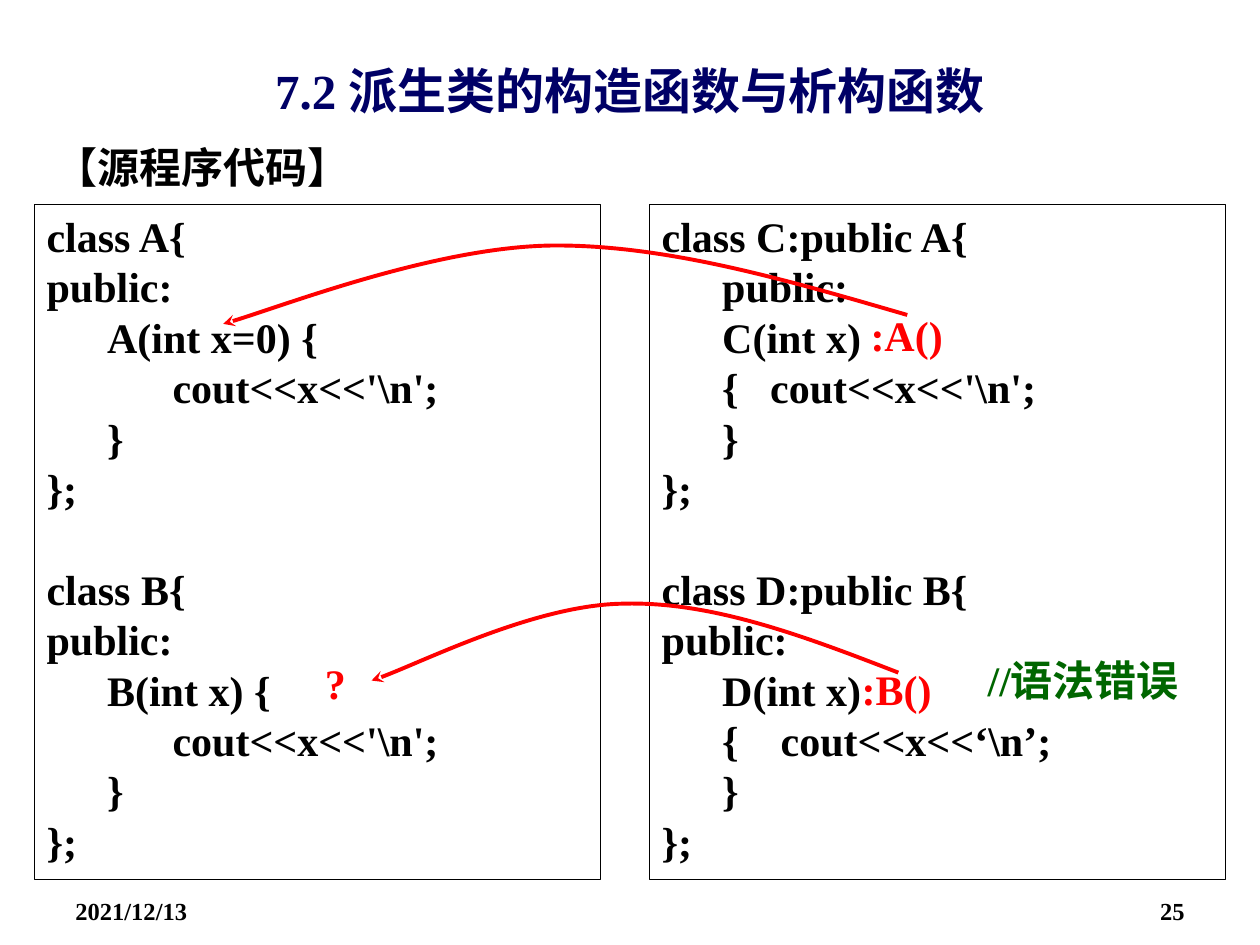
from lxml.etree import SubElement
from pptx import Presentation
from pptx.dml.color import RGBColor
from pptx.enum.shapes import MSO_SHAPE as Shape
from pptx.enum.text import MSO_ANCHOR as Anchor, MSO_AUTO_SIZE as AutoSize, PP_ALIGN as Align
from pptx.oxml.ns import qn
from pptx.util import Cm, Pt

FONT = "Times New Roman"
BLACK, RED, GREEN, NAVY = "000000", "FF0000", "006600", "000066"
LINE_PITCH = 28.8
INDENTS = [(0.97, -0.97), (1.98, -0.76), (3.18, -0.64)]

BASE_CODE = [
    [(0, "class A{"), (0, "public:"), (1, "A(int x=0) {"),
     (2, "cout<<x<<'\\n';"), (1, "}"), (0, "};")],
    [(0, "class B{"), (0, "public:"), (1, "B(int x) {"),
     (2, "cout<<x<<'\\n';"), (1, "}"), (0, "};")],
]
DERIVED_CODE = [
    [(0, "class C:public A{"), (1, "public:"), (1, "C(int x)"),
     (1, "{   cout<<x<<'\\n';"), (1, "}"), (0, "};")],
    [(0, "class D:public B{"), (0, "public:"), (1, "D(int x)"),
     (1, "{    cout<<x<<‘\\n’;"), (1, "}"), (0, "};")],
]
CALL_TO_A = [(18.29, 6.35), (15.85, 5.64), (13.41, 4.93), (11.13, 4.95),
             (8.81, 4.98), (5.44, 6.27), (4.5, 6.53)]
CALL_TO_B = [(18.11, 13.56), (16.23, 12.83), (14.35, 12.12), (12.57, 12.17),
             (10.82, 12.19), (8.23, 13.49), (7.49, 13.72)]


def color(value):
    """Turn a hex string into a colour."""
    return RGBColor.from_string(value)


def add_span(para, text, size=24, ink=BLACK):
    """Add one bold run to a paragraph."""
    span = para.add_run()
    span.text = text
    span.font.name = FONT
    span.font.size = Pt(size)
    span.font.bold = True
    span.font.color.rgb = color(ink)


def set_indent(para, left, first):
    """Set the left margin and the first-line indent."""
    props = para._p.get_or_add_pPr()
    props.set("marL", str(Cm(left)))
    props.set("indent", str(Cm(first)))
    return props


def fill_placeholder(holder, place, text, size, ink, align, anchor):
    """Move a placeholder and give it one plain line of text."""
    holder.left, holder.top, holder.width, holder.height = map(Cm, place)
    frame = holder.text_frame
    frame.auto_size = AutoSize.NONE
    frame.vertical_anchor = anchor
    para = frame.paragraphs[0]
    SubElement(set_indent(para, 0, 0), qn("a:buNone"))
    para.alignment = align
    para.space_before = Pt(0)
    add_span(para, text, size, ink)


def add_label(page, place, text, size=24, ink=RED, align=Align.LEFT, wrap=False):
    """Add a one-line text box."""
    box = page.shapes.add_textbox(*map(Cm, place))
    box.text_frame.word_wrap = wrap
    para = box.text_frame.paragraphs[0]
    para.alignment = align
    add_span(para, text, size, ink)


def add_code_line(para, level, code):
    """Write one indented code line."""
    para.level = level
    para.alignment = Align.LEFT
    para.line_spacing = Pt(LINE_PITCH)
    set_indent(para, *INDENTS[level])
    add_span(para, code)


def add_code_panel(page, left, width, classes):
    """Add a framed panel listing several classes."""
    panel = page.shapes.add_shape(Shape.RECTANGLE, Cm(left), Cm(4.12), Cm(width), Cm(13.61))
    panel.shadow.inherit = False
    panel.fill.background()
    panel.line.color.rgb = color(BLACK)
    panel.line.width = Pt(0.75)
    frame = panel.text_frame
    frame.word_wrap = True
    frame.vertical_anchor = Anchor.TOP
    para = frame.paragraphs[0]
    for number, lines in enumerate(classes):
        for row, line in enumerate(lines):
            if number or row:
                para = frame.add_paragraph()
            add_code_line(para, *line)
            if number and row == 0:
                para.space_before = Pt(LINE_PITCH)


def add_curved_arrow(page, points):
    """Draw a Bezier arrow through a start point and triples of control points."""
    start, *rest = [(Cm(x), Cm(y)) for x, y in points]
    builder = page.shapes.build_freeform(*start)
    builder.add_line_segments(rest, close=False)
    arrow = builder.convert_to_shape()
    arrow.shadow.inherit = False
    arrow.fill.background()
    arrow.line.color.rgb = color(RED)
    arrow.line.width = Pt(2.25)
    SubElement(arrow.line._get_or_add_ln(), qn("a:tailEnd"), type="stealth")
    outline = next(arrow._element.iter(qn("a:path")))
    segments = outline.findall(qn("a:lnTo"))
    for index in range(0, len(segments), 3):
        curve = SubElement(outline, qn("a:cubicBezTo"))
        for segment in segments[index:index + 3]:
            curve.append(segment[0])
            outline.remove(segment)


def main():
    """Build the slide and save it."""
    deck = Presentation()
    deck.slide_width, deck.slide_height = Cm(25.4), Cm(19.05)
    page = deck.slides.add_slide(deck.slide_layouts[1])
    fill_placeholder(page.shapes.title, (1.27, 0.93, 22.86, 1.75),
                     "7.2 派生类的构造函数与析构函数", 28, NAVY, Align.CENTER, Anchor.MIDDLE)
    fill_placeholder(page.placeholders[1], (0.86, 2.72, 23.62, 1.6),
                     "【源程序代码】", 24, BLACK, Align.LEFT, Anchor.TOP)
    add_code_panel(page, 0.69, 11.42, BASE_CODE)
    add_code_panel(page, 13.09, 11.61, DERIVED_CODE)
    add_label(page, (19.66, 13.06, 4.9, 1.27), "//语法错误", ink=GREEN, wrap=True)
    add_label(page, (17.3, 6.12, 1.98, 1.27), ":A()")
    add_label(page, (17.12, 13.26, 1.93, 1.27), ":B()")
    add_label(page, (6.3, 13.13, 0.94, 1.27), "?")
    for points in (CALL_TO_A, CALL_TO_B):
        add_curved_arrow(page, points)
    add_label(page, (1.27, 17.93, 5.92, 0.74), "2021/12/13", 14, BLACK, wrap=True)
    add_label(page, (18.21, 17.93, 5.92, 0.74), "25", 14, BLACK, Align.RIGHT, True)
    deck.save("out.pptx")


if __name__ == "__main__":
    main()
